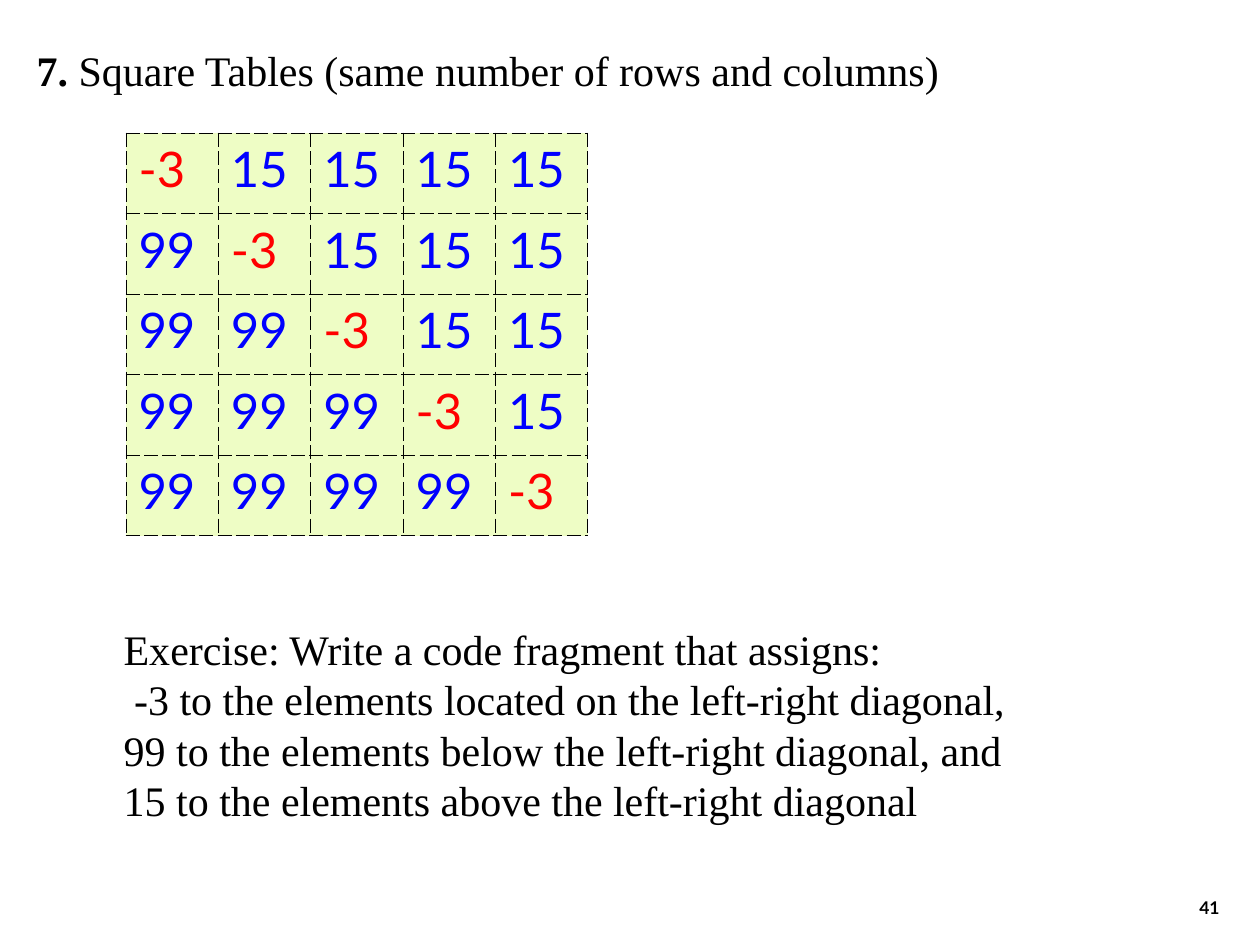
from lxml.etree import SubElement as Sub
from pptx import Presentation as Deck
from pptx.dml.color import RGBColor
from pptx.enum.text import MSO_ANCHOR as Anchor, MSO_AUTO_SIZE as Fit, PP_ALIGN as Align
from pptx.oxml.ns import qn
from pptx.util import Pt

SCALE = 914400 / 126
SERIF = "Times New Roman"
SANS = "Lato"
BLACK = "000000"
RED = "FF0000"
BLUE = "0000FF"
LIME = "EEFDC5"


def px(n):
    return round(n * SCALE)


def tint(code):
    return RGBColor.from_string(code)


def put(shape, box):
    shape.left, shape.top, shape.width, shape.height = map(px, box)


def add_run(para, text, face, size, code=BLACK, bold=False):
    run = para.add_run()
    run.text = text
    font = run.font
    font.name, font.size, font.bold = face, Pt(size), bold
    font.color.rgb = tint(code)


def add_title(slide, box):
    shape = slide.shapes.title
    put(shape, box)
    frame = shape.text_frame
    frame.word_wrap = False
    frame.auto_size = Fit.SHAPE_TO_FIT_TEXT
    frame.vertical_anchor = Anchor.TOP
    para = frame.paragraphs[0]
    para.alignment = Align.LEFT
    add_run(para, "7.", SERIF, 24, bold=True)
    add_run(para, " Square Tables (same number of rows and columns)", SERIF, 24)


def add_edges(cell):
    props = cell._tc.get_or_add_tcPr()
    for side in ("lnL", "lnR", "lnT", "lnB"):
        line = Sub(props, qn(f"a:{side}"), w=str(Pt(0.45)))
        fill = Sub(line, qn("a:solidFill"))
        Sub(fill, qn("a:srgbClr"), val=BLACK)
        Sub(line, qn("a:prstDash"), val="dash")


def add_grid(slide, box, size):
    table = slide.shapes.add_table(size, size, *map(px, box)).table
    table.first_row = table.horz_banding = False
    for row in range(size):
        for col in range(size):
            cell = table.cell(row, col)
            add_edges(cell)
            cell.fill.solid()
            cell.fill.fore_color.rgb = tint(LIME)
            para = cell.text_frame.paragraphs[0]
            para.space_before = Pt(7)
            text = "-3" if row == col else "99" if row > col else "15"
            add_run(para, text, SANS, 28, RED if row == col else BLUE)


def add_task(slide, box):
    shape = slide.placeholders[1]
    put(shape, box)
    frame = shape.text_frame
    frame.word_wrap = True
    frame.auto_size = Fit.SHAPE_TO_FIT_TEXT
    lines = (
        "Exercise: Write a code fragment that assigns:",
        " -3 to the elements located on the left-right diagonal,",
        "99 to the elements below the left-right diagonal, and",
        "15 to the elements above the left-right diagonal",
    )
    for i, text in enumerate(lines):
        para = frame.add_paragraph() if i else frame.paragraphs[0]
        para.space_before = Pt(0)
        props = para._p.get_or_add_pPr()
        props.set("marL", str(px(63)))
        props.set("indent", str(-px(63)))
        Sub(props, qn("a:buNone"))
        add_run(para, text, SERIF, 24)


def add_page(slide, box):
    frame = slide.shapes.add_textbox(*map(px, box)).text_frame
    frame.word_wrap = True
    frame.vertical_anchor = Anchor.BOTTOM
    para = frame.paragraphs[0]
    para.alignment = Align.RIGHT
    add_run(para, "41", SANS, 10, bold=True)


def main():
    deck = Deck()
    deck.slide_width, deck.slide_height = px(1260), px(945)
    slide = deck.slides.add_slide(deck.slide_layouts[1])
    add_page(slide, (970, 861, 262, 63))
    add_title(slide, (24, 38, 931, 63))
    add_grid(slide, (126, 133, 462, 403), 5)
    add_task(slide, (111, 617, 955, 214))
    deck.save("out.pptx")


if __name__ == "__main__":
    main()
